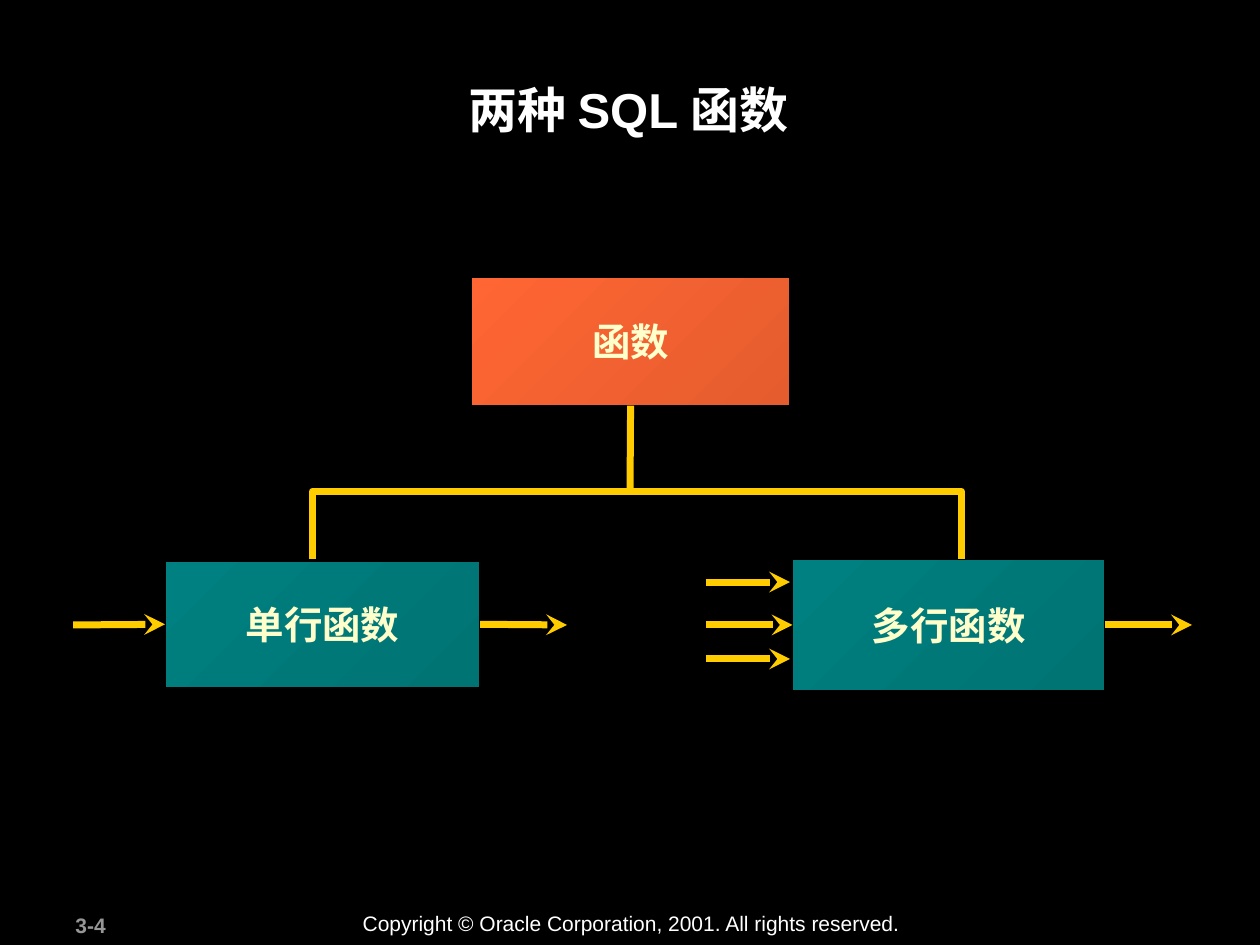
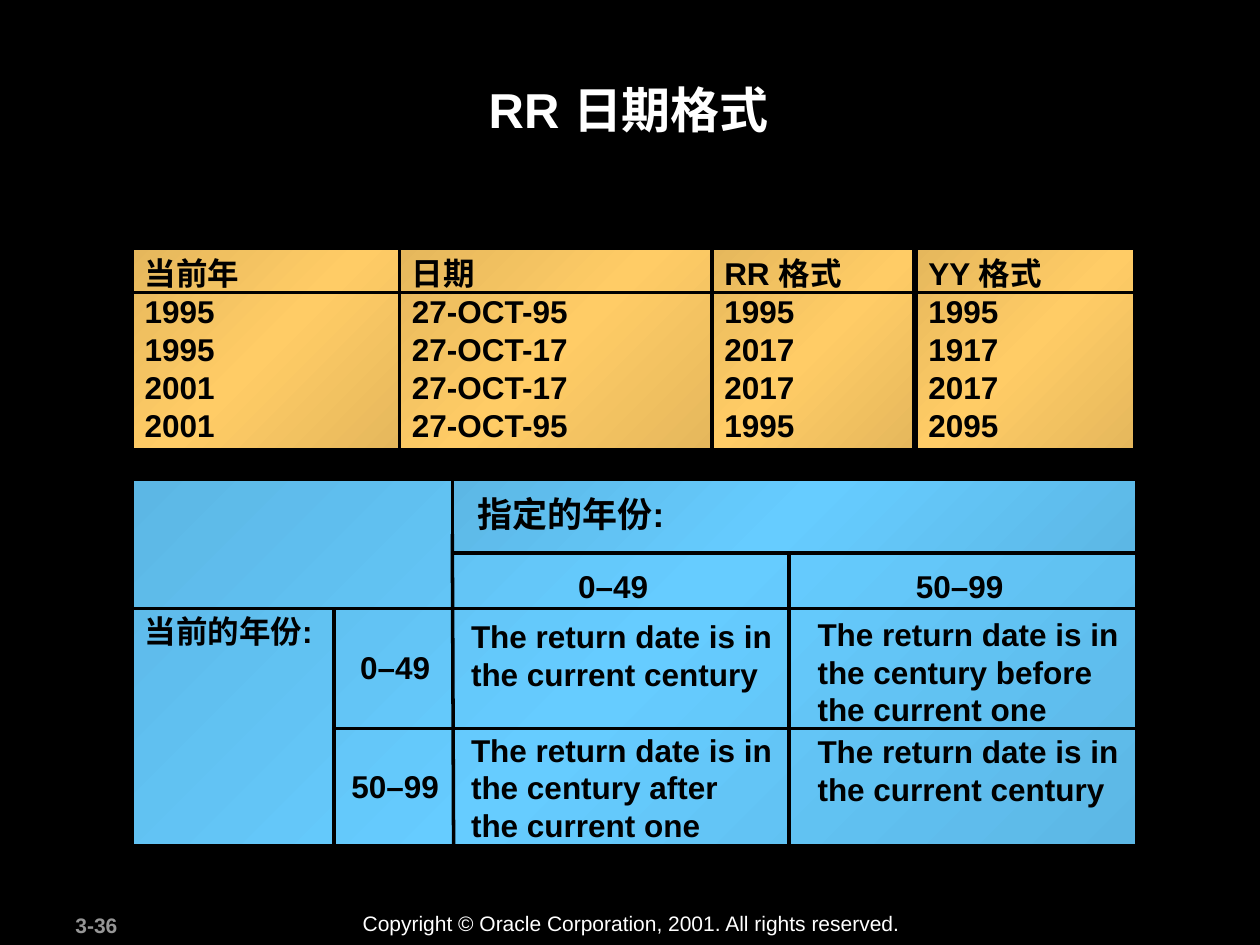
from dataclasses import dataclass

from lxml import etree
from pptx import Presentation
from pptx import util as u
from pptx.dml.color import RGBColor
from pptx.enum import shapes, text
from pptx.oxml import ns

TOP, LEFT, BOTTOM, RIGHT = range(4)


@dataclass(frozen=True)
class Theme:
    font: str = "Arial"
    black: str = "000000"
    white: str = "FFFFFF"
    cream: str = "FFFFCC"
    gray: str = "969696"
    gold: str = "FFCC00"
    orange: tuple = ("FF6633", "E55C2E")
    teal: tuple = ("008080", "007373")
    amber: tuple = ("E5B75C", "FFCC66", "E5B75C")
    sky: tuple = ("5CB7E5", "66CCFF", "5CB7E5")
    title_size: int = 28
    node_size: int = 22
    heading_size: int = 20
    body_size: int = 18
    footer_size: int = 12
    flow_width: int = 4
    grid_width: int = 2
    node_border: int = 1


class SlideBuilder:
    def __init__(self, deck, theme):
        self.deck = deck
        self.theme = theme
        self.page = None

    def start(self, title, number):
        theme = self.theme
        self.page = self.deck.slides.add_slide(self.deck.slide_layouts[6])
        background = self.page.background.fill
        background.solid()
        background.fore_color.rgb = RGBColor.from_string(theme.black)
        self.label(number, 0.5, 7.19, 1.05, 0.3, theme.footer_size, theme.gray)
        self.label("Copyright © Oracle Corporation, 2001. All rights reserved.",
                   2.78, 7.18, 4.48, 0.3, theme.footer_size, theme.white, bold=False)
        self.label(title, 0.94, 0.58, 8.1, 0.96, theme.title_size, theme.white,
                   align=text.PP_ALIGN.CENTER)

    def add_lines(self, frame, lines, size, color, bold=True, align=text.PP_ALIGN.LEFT):
        for index, line in enumerate(lines):
            para = frame.add_paragraph() if index else frame.paragraphs[0]
            para.alignment = align
            span = para.add_run()
            span.text = line
            span.font.name = self.theme.font
            span.font.size = u.Pt(size)
            span.font.bold = bold
            span.font.color.rgb = RGBColor.from_string(color)

    def label(self, words, left, top, width, height, size=None, color=None, **style):
        box = self.page.shapes.add_textbox(
            u.Inches(left), u.Inches(top), u.Inches(width), u.Inches(height))
        box.text_frame.word_wrap = True
        self.add_lines(box.text_frame, [words], size or self.theme.body_size,
                       color or self.theme.black, **style)

    def outline(self, item, color, width):
        item.line.color.rgb = RGBColor.from_string(color)
        item.line.width = u.Pt(width)

    def panel(self, left, top, width, height, colors, border):
        box = self.page.shapes.add_shape(
            shapes.MSO_SHAPE.RECTANGLE,
            u.Inches(left), u.Inches(top), u.Inches(width), u.Inches(height))
        box.shadow.inherit = False
        box.fill.gradient()
        box.fill.gradient_angle = 315
        stops = box._element.spPr.find(".//" + ns.qn("a:gsLst"))
        for stop in list(stops):
            stops.remove(stop)
        for index, color in enumerate(colors):
            position = 100000 * index // (len(colors) - 1)
            stop = etree.SubElement(stops, ns.qn("a:gs"), pos=str(position))
            etree.SubElement(stop, ns.qn("a:srgbClr"), val=color)
        self.outline(box, self.theme.black, border)
        return box

    def node(self, words, left, top, width, height, colors):
        theme = self.theme
        box = self.panel(left, top, width, height, colors, theme.node_border)
        box.text_frame.word_wrap = False
        box.text_frame.vertical_anchor = text.MSO_ANCHOR.MIDDLE
        self.add_lines(box.text_frame, [words], theme.node_size, theme.cream,
                       align=text.PP_ALIGN.CENTER)
        return box

    def column(self, lines, left, top, width, height):
        theme = self.theme
        box = self.panel(left, top, width, height, theme.amber, theme.grid_width)
        box.text_frame.word_wrap = True
        box.text_frame.vertical_anchor = text.MSO_ANCHOR.TOP
        self.add_lines(box.text_frame, lines, theme.body_size, theme.black)

    def line(self, start, end, color, width):
        points = [u.Inches(value) for value in (*start, *end)]
        link = self.page.shapes.add_connector(shapes.MSO_CONNECTOR.STRAIGHT, *points)
        self.outline(link, color, width)
        etree.SubElement(link._element.spPr, ns.qn("a:effectLst"))
        return link

    def flow(self, start, end, source=None, target=None, arrow=True):
        link = self.line(start, end, self.theme.gold, self.theme.flow_width)
        if arrow:
            stroke = link._element.spPr.find(ns.qn("a:ln"))
            etree.SubElement(stroke, ns.qn("a:tailEnd"), type="stealth")
        if source:
            link.begin_connect(*source)
        if target:
            link.end_connect(*target)

    def rule(self, start, end):
        self.line(start, end, self.theme.black, self.theme.grid_width)

    def bracket(self, points):
        first, *others = [(u.Inches(x), u.Inches(y)) for x, y in points]
        builder = self.page.shapes.build_freeform(*first)
        builder.add_line_segments(others, close=False)
        branch = builder.convert_to_shape()
        branch.shadow.inherit = False
        branch.fill.background()
        self.outline(branch, self.theme.gold, self.theme.flow_width)


def function_types(builder):
    theme = builder.theme
    builder.start("两种 SQL 函数", "3-4")
    builder.bracket([(2.48, 4.44), (2.48, 3.9), (7.63, 3.9), (7.63, 4.48)])
    root = builder.node("函数", 3.74, 2.2, 2.53, 1.02, theme.orange)
    single = builder.node("单行函数", 1.31, 4.45, 2.5, 1.01, theme.teal)
    multiple = builder.node("多行函数", 6.29, 4.44, 2.48, 1.04, theme.teal)

    middle = 4.96
    builder.flow((5, 3.22), (5, 3.92), source=(root, BOTTOM), arrow=False)
    builder.flow((0.58, middle), (1.31, middle), target=(single, LEFT))
    builder.flow((3.81, middle), (4.5, middle), source=(single, RIGHT))
    builder.flow((5.6, middle), (6.29, middle), target=(multiple, LEFT))
    builder.flow((8.77, middle), (9.46, middle), source=(multiple, RIGHT))
    for y in (4.62, 5.23):
        builder.flow((5.6, y), (6.27, y))


def date_format(builder):
    theme = builder.theme
    builder.start("RR 日期格式", "3-36")

    columns = [
        (1.05, 2.12, ["当前年", "1995", "1995", "2001", "2001"]),
        (3.17, 2.48, ["日期", "27-OCT-95", "27-OCT-17", "27-OCT-17", "27-OCT-95"]),
        (5.65, 1.6, ["RR 格式", "1995", "2017", "2017", "1995"]),
        (7.27, 1.74, ["YY 格式", "1995", "1917", "2017", "2095"]),
    ]
    for left, width, lines in columns:
        builder.column(lines, left, 1.97, width, 1.6)
    builder.rule((1.04, 2.32), (9.02, 2.32))

    builder.panel(1.05, 3.8, 7.97, 2.91, theme.sky, theme.grid_width)
    builder.rule((1.04, 4.83), (9.04, 4.83))
    builder.rule((2.65, 4.83), (2.65, 6.72))
    builder.rule((6.26, 4.24), (6.26, 6.72))
    builder.panel(3.59, 3.8, 5.43, 0.59, theme.sky, theme.grid_width)
    builder.rule((3.59, 4.24), (3.6, 6.72))
    builder.rule((2.66, 5.78), (9.02, 5.78))

    builder.label("指定的年份:", 3.69, 3.86, 4.48, 0.43, theme.heading_size)
    same_century = "The return date is in the current century"
    cells = [
        ("当前的年份:", 1.05, 4.81, 1.71, 0.4),
        ("0–49", 2.76, 5.09, 1.04, 0.4),
        ("50–99", 2.69, 6.04, 1.27, 0.4),
        ("0–49", 4.49, 4.45, 1.28, 0.4),
        ("50–99", 7.17, 4.45, 1.26, 0.4),
        (same_century, 3.64, 4.85, 2.69, 0.7),
        ("The return date is in the century after the current one", 3.64, 5.75, 2.59, 1),
        ("The return date is in the century before the current one", 6.39, 4.83, 2.69, 1),
        (same_century, 6.39, 5.76, 2.69, 0.7),
    ]
    for cell in cells:
        builder.label(*cell)


def main():
    deck = Presentation()
    deck.slide_width = u.Inches(10)
    deck.slide_height = u.Inches(7.5)
    builder = SlideBuilder(deck, Theme())
    function_types(builder)
    date_format(builder)
    deck.save("out.pptx")


if __name__ == "__main__":
    main()
